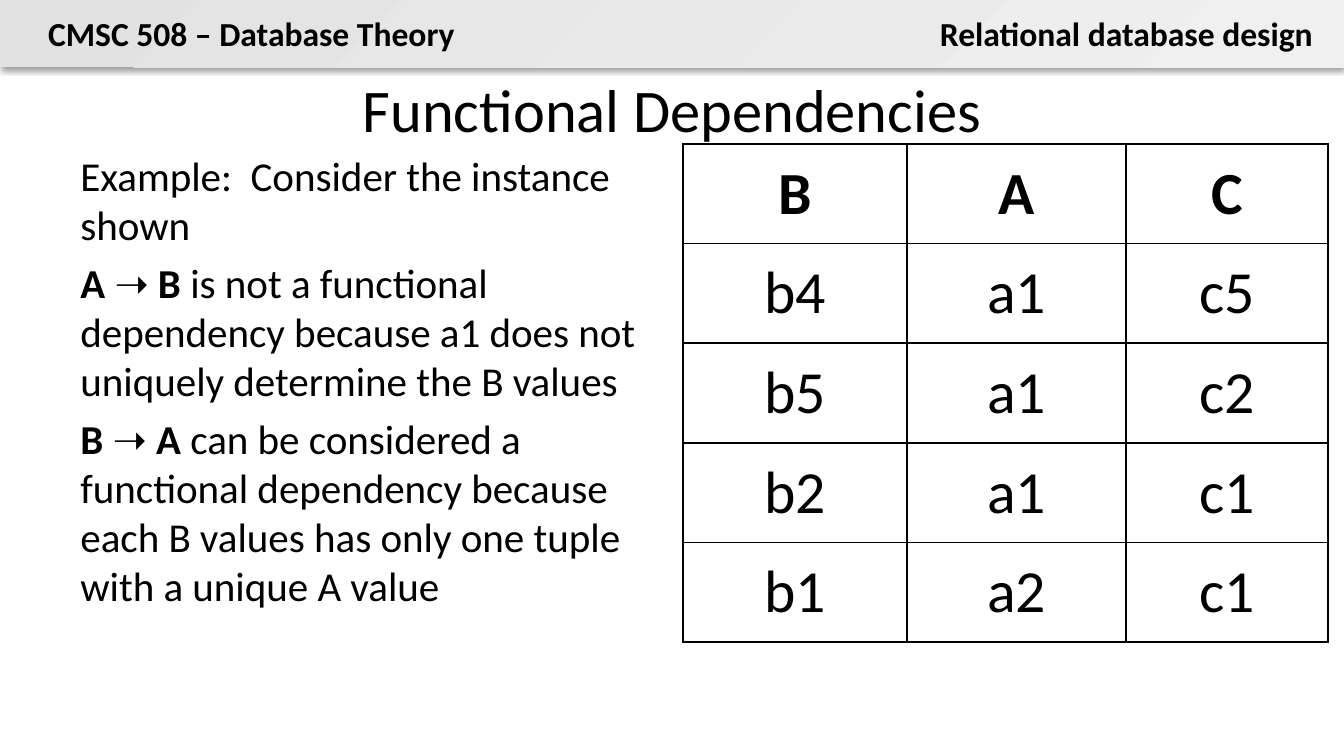
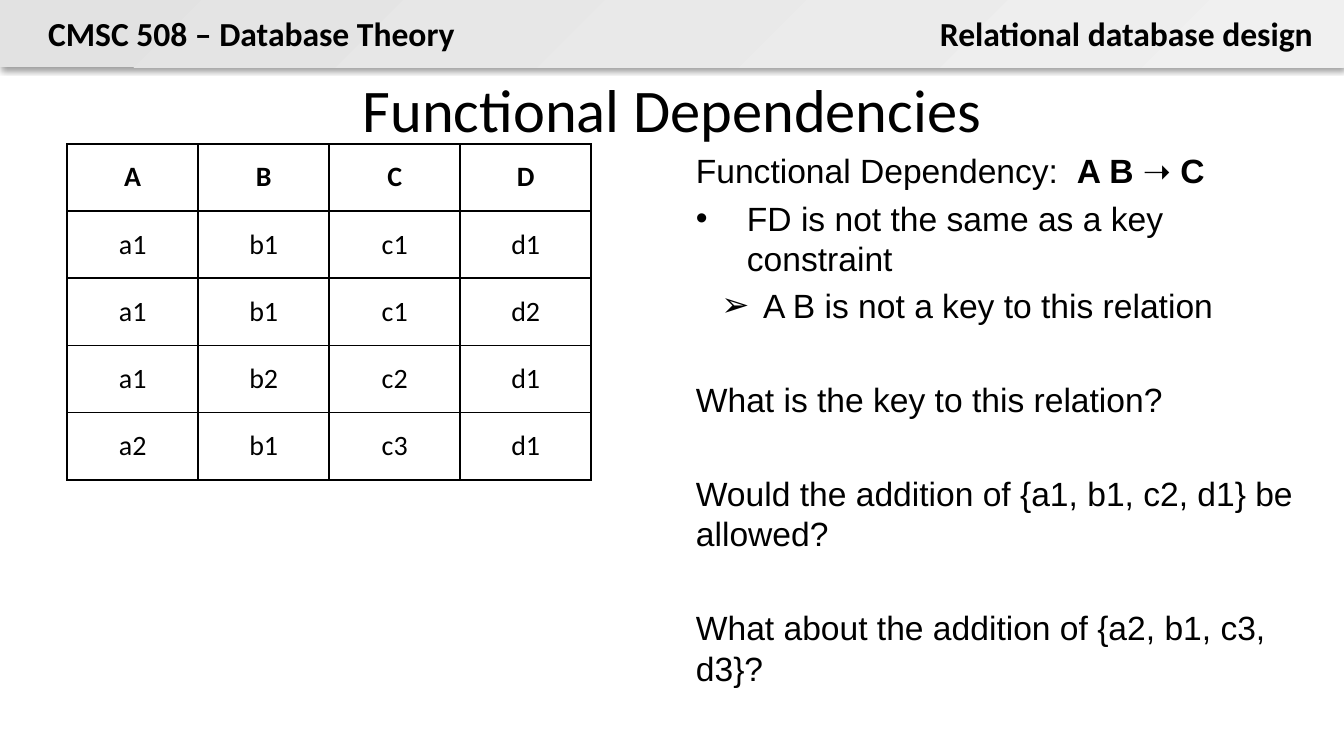
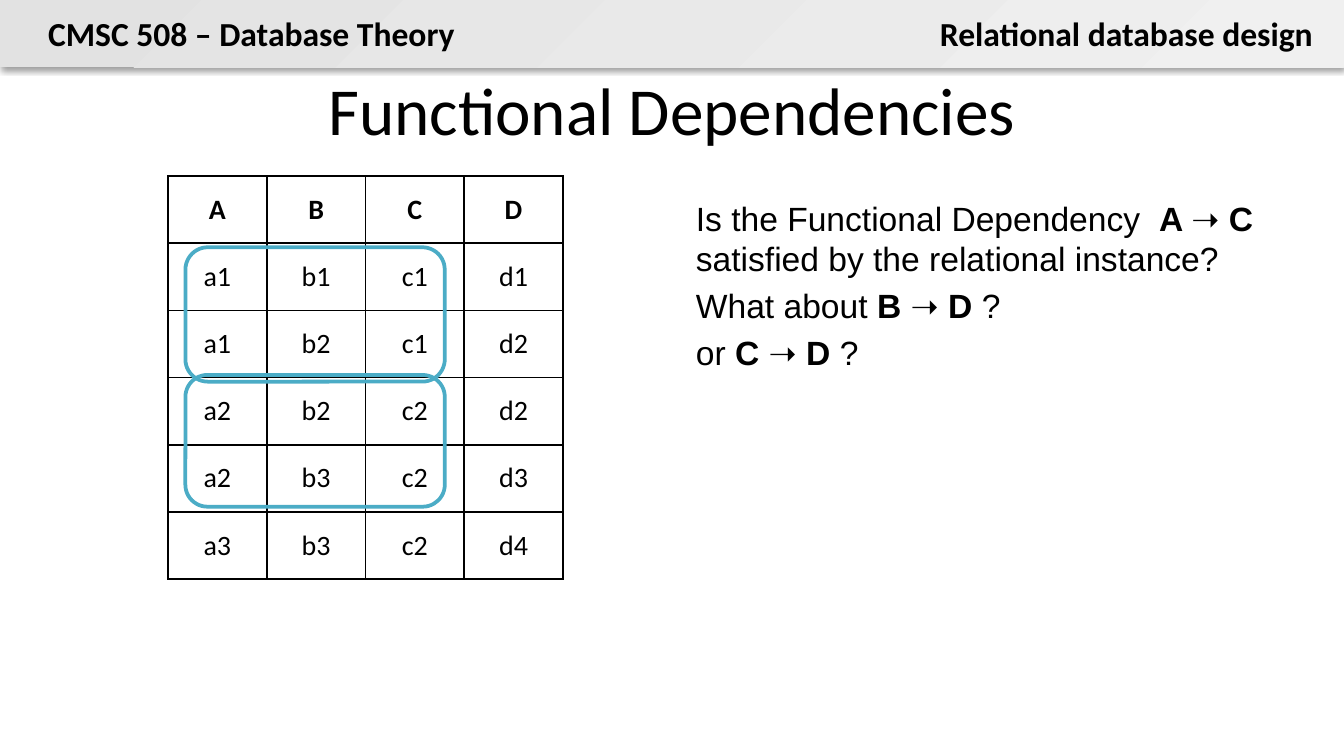
from lxml import etree
from pptx import Presentation
from pptx.dml.color import RGBColor
from pptx.enum.shapes import MSO_SHAPE as Shape
from pptx.enum.text import MSO_ANCHOR as Anchor, MSO_AUTO_SIZE as Fit, PP_ALIGN as Align
from pptx.oxml.ns import qn
from pptx.util import Inches, Pt

HUES = {"ink": "000000", "dark": "E2E2E2", "pale": "F0F0F0", "ring": "4BACC6"}
LEFT = (0.5, 1.07, 4.65, 4.44)
RIGHT = (5.08, 1.07, 4.8, 4.44)
GAP = 0.2    # space before a paragraph, in font sizes
LEAD = 1.2   # line pitch, in font sizes


def hue(name):
    return RGBColor.from_string(HUES[name])


def sub(parent, tag, **attrs):
    return etree.SubElement(parent, qn(tag), {k: str(v) for k, v in attrs.items()})


def style(para, size, face="Calibri", bold=None):
    font = para.font
    font.size, font.name, font.bold = Pt(size), face, bold
    font.color.rgb = hue("ink")


def label(slide, box, text, size, align, bold=None):
    """Add a one-line text box and return its frame."""
    frame = slide.shapes.add_textbox(*map(Inches, box)).text_frame
    para = frame.paragraphs[0]
    para.text, para.alignment = text, align
    style(para, size, bold=bold)
    return frame


def header(slide, width):
    band = slide.shapes.add_shape(Shape.RECTANGLE, 0, 0, width, Inches(0.5))
    band.fill.gradient()
    band.fill.gradient_angle = 315
    for stop, name, place in zip(band.fill.gradient_stops, ("dark", "pale"), (0, 1)):
        stop.color.rgb, stop.position = hue(name), place
    band.line.fill.background()
    band.shadow.inherit = False
    effects = band._element.spPr.find(qn("a:effectLst"))
    shade = sub(effects, "a:outerShdw", blurRad=Pt(3.1), dist=Pt(1.6),
                dir=90 * 60000, rotWithShape=0)
    sub(sub(shade, "a:srgbClr", val=HUES["ink"]), "a:alpha", val=38000)
    for box, text, align in (
            ((0.26, 0.05, 3.26, 0.4), "CMSC 508 – Database Theory", Align.LEFT),
            ((6.87, 0.05, 3, 0.4), "Relational database design", Align.RIGHT)):
        frame = label(slide, box, text, 18, align, True)
        frame.word_wrap, frame.auto_size = False, Fit.SHAPE_TO_FIT_TEXT


def start(deck, size=32.4):
    """Add a slide with the header band and the title."""
    slide = deck.slides.add_slide(deck.slide_layouts[6])
    header(slide, deck.slide_width)
    frame = label(slide, (0.5, 0.54, 9, 0.53), "Functional Dependencies", size, Align.CENTER)
    frame.word_wrap, frame.vertical_anchor = True, Anchor.MIDDLE
    return slide


def bullet(para, mark, left, hang):
    props = para._p.get_or_add_pPr()
    props.set("marL", str(Inches(left)))
    props.set("indent", str(Inches(-hang)))
    sub(props, "a:buFont", typeface="Arial")
    sub(props, "a:buChar", char=mark)


def body(slide, box, items, size, face):
    """Write (text, kind) items; asterisks enclose bold parts."""
    frame = slide.shapes.add_textbox(*map(Inches, box)).text_frame
    frame.word_wrap = True
    for i, (text, kind) in enumerate(items):
        para = frame.add_paragraph() if i else frame.paragraphs[0]
        if kind == "dot":
            bullet(para, "•", 0.38, 0.38)
        elif kind == "arrow":
            para.level = 1
            bullet(para, "➢", 0.5, 0.31)
        style(para, size, face)
        para.line_spacing = Pt(size * LEAD)
        if i:
            blank = GAP + LEAD if kind == "apart" else 0
            para.space_before = Pt(size * (GAP + blank))
        for j, part in enumerate(text.split("*")):
            if part:
                run = para.add_run()
                run.text = part
                run.font.bold = j % 2 == 1


def edge(cell):
    props = cell._tc.get_or_add_tcPr()
    for i, side in enumerate("LRTB"):
        line = etree.Element(qn("a:ln" + side), w=str(Pt(1)))
        sub(sub(line, "a:solidFill"), "a:srgbClr", val=HUES["ink"])
        props.insert(i, line)


def grid(slide, spot, widths, height, lines, size, pad):
    """Draw a bordered table whose first line is its bold head."""
    rows = [line.split() for line in lines]
    table = slide.shapes.add_table(
        len(rows), len(widths), *map(Inches, (*spot, sum(widths), height))).table
    table.first_row = table.horz_banding = False
    for col, width in zip(table.columns, widths):
        col.width = Inches(width)
    for r, row in enumerate(rows):
        table.rows[r].height = Inches(height / len(rows))
        for c, text in enumerate(row):
            cell = table.cell(r, c)
            cell.margin_left = cell.margin_right = Inches(pad)
            cell.margin_top = cell.margin_bottom = Inches(pad)
            cell.vertical_anchor = Anchor.MIDDLE
            cell.fill.background()
            edge(cell)
            para = cell.text_frame.paragraphs[0]
            para.text, para.alignment = text, Align.CENTER
            style(para, size, bold=r == 0)


def ring(slide, box):
    mark = slide.shapes.add_shape(Shape.ROUNDED_RECTANGLE, *map(Inches, box))
    mark.shadow.inherit = False
    mark.fill.background()
    mark.line.color.rgb, mark.line.width = hue("ring"), Pt(2)


def example(deck):
    slide = start(deck)
    body(slide, LEFT, [
        ("Example:  Consider the instance shown", ""),
        ("*A ➝ B *is not a functional dependency because a1 does not "
         "uniquely determine the B values", ""),
        ("*B ➝ A *can be considered a functional dependency because "
         "each B values has only one tuple with a unique A value", ""),
    ], 22, "Calibri")
    grid(slide, RIGHT[:2], (1.67, 1.63, 1.5), 3.71,
         ["B A C", "b4 a1 c5", "b5 a1 c2", "b2 a1 c1", "b1 a2 c1"], 32, 0.07)


def keys(deck):
    slide = start(deck)
    grid(slide, LEFT[:2], [3.9 / 4] * 4, 2.5,
         ["A B C D", "a1 b1 c1 d1", "a1 b1 c1 d2", "a1 b2 c2 d1", "a2 b1 c3 d1"], 15, 0.03)
    body(slide, RIGHT, [
        ("Functional Dependency:  *A B ➝ C*", ""),
        ("FD is not the same as a key constraint", "dot"),
        ("A B is not a key to this relation", "arrow"),
        ("What is the key to this relation?", "apart"),
        ("Would the addition of {a1, b1, c2, d1} be allowed?", "apart"),
        ("What about the addition of {a2, b1, c3, d3}?", "apart"),
    ], 18, "Arial")


def check(deck):
    slide = start(deck, 36)
    x, y = 1.25, 1.31
    grid(slide, (x, y), [2.94 / 4] * 4, 3,
         ["A B C D", "a1 b1 c1 d1", "a1 b2 c1 d2", "a2 b2 c2 d2",
          "a2 b3 c2 d3", "a3 b3 c2 d4"], 15, 0.03)
    body(slide, (RIGHT[0], 1.42, RIGHT[2], 4.09), [
        ("Is the Functional Dependency  *A ➝ C* satisfied by the relational instance?", ""),
        ("What about *B ➝ D* ?", ""),
        ("or *C ➝ D* ?", ""),
    ], 18, "Arial")
    for top, height in ((0.53, 1), (1.48, 0.98)):
        ring(slide, (x + 0.13, y + top, 1.93, height))


def main():
    deck = Presentation()
    deck.slide_width = Inches(10)
    deck.slide_height = deck.slide_width * 9 // 16
    for build in (example, keys, check):
        build(deck)
    deck.save("out.pptx")


if __name__ == "__main__":
    main()
